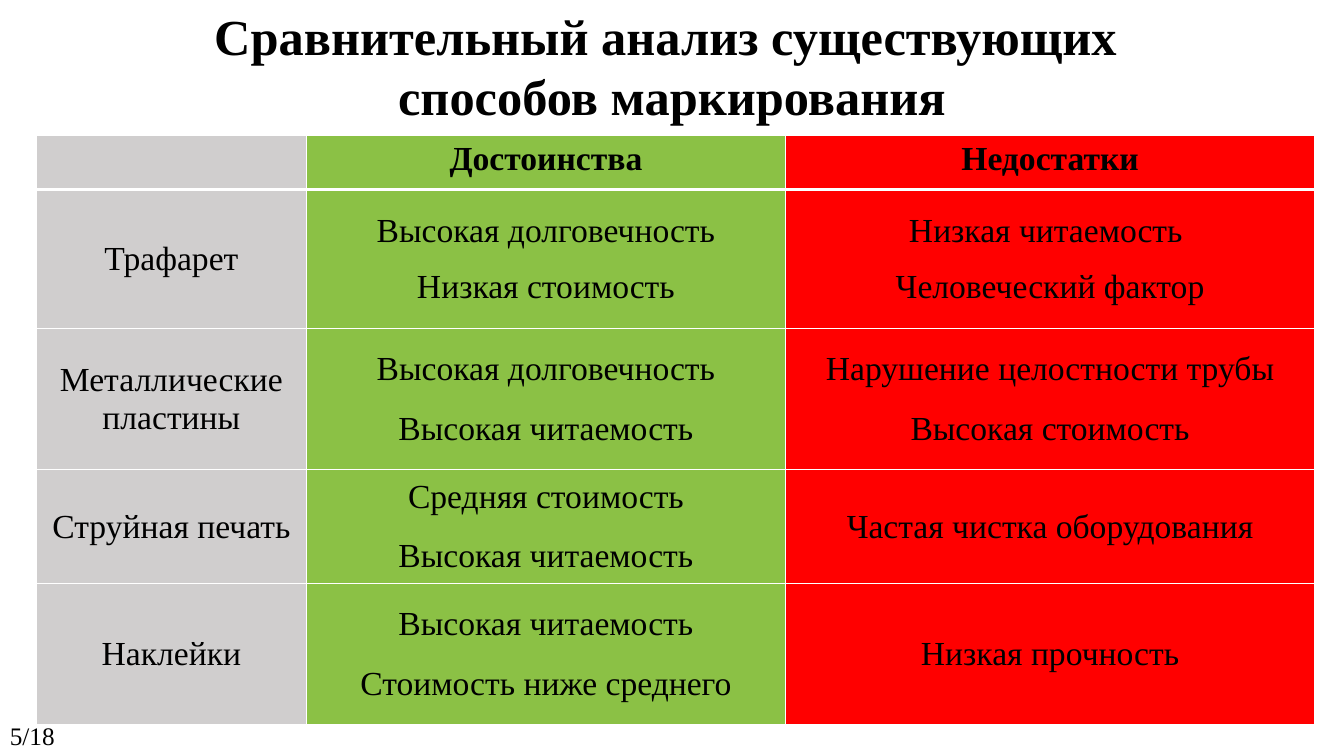
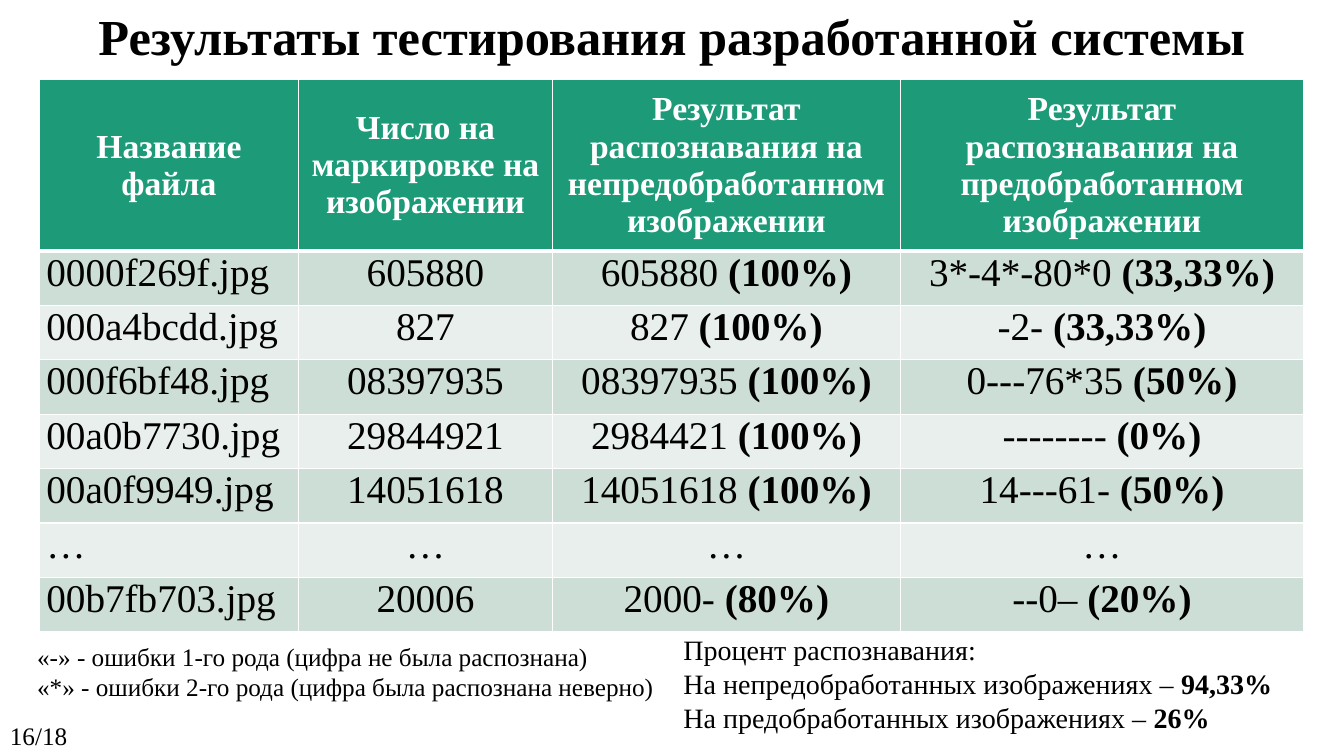
from lxml import etree
from pptx import Presentation
from pptx.dml.color import RGBColor
from pptx.enum.text import MSO_ANCHOR, MSO_AUTO_SIZE, PP_ALIGN
from pptx.oxml.ns import qn
from pptx.util import Inches, Pt

LEFT, CENTER, JUSTIFY = PP_ALIGN.LEFT, PP_ALIGN.CENTER, PP_ALIGN.JUSTIFY
TOP, MIDDLE = MSO_ANCHOR.TOP, MSO_ANCHOR.MIDDLE
GROW = MSO_AUTO_SIZE.SHAPE_TO_FIT_TEXT

FONT = "Times New Roman"
BLACK = RGBColor(0x00, 0x00, 0x00)
WHITE = RGBColor(0xFF, 0xFF, 0xFF)
GRAY = RGBColor(0xD0, 0xCE, 0xCE)
GREEN = RGBColor(0x8B, 0xC1, 0x45)
RED = RGBColor(0xFF, 0x00, 0x00)
TEAL = RGBColor(0x1D, 0x9A, 0x78)
MINT = RGBColor(0xCD, 0xDE, 0xD6)
PALE = RGBColor(0xE8, 0xEF, 0xEC)

SLIDE_WIDTH, SLIDE_HEIGHT = 13.33, 7.5
SLIDE_COUNT = 18

METHODS = [
    ("Трафарет", ["Высокая долговечность", "Низкая стоимость"],
     ["Низкая читаемость ", "Человеческий фактор"], 14),
    ("Металлические пластины", ["Высокая долговечность", "Высокая читаемость"],
     ["Нарушение целостности трубы", "Высокая стоимость"], 16),
    ("Струйная печать", ["Средняя стоимость", "Высокая читаемость"],
     ["Частая чистка оборудования"], 16),
    ("Наклейки", ["Высокая читаемость", "Стоимость ниже среднего"],
     ["Низкая прочность"], 16),
]

TEST_HEADINGS = [
    "Название файла",
    "Число на маркировке на изображении",
    "Результат распознавания на непредобработанном изображении",
    "Результат распознавания на предобработанном изображении",
]
TESTS = [
    ("0000f269f.jpg", "605880", ("605880 ", "(100%)"), ("3*-4*-80*0 ", "(33,33%)")),
    ("000a4bcdd.jpg", "827", ("827 ", "(100%)"), ("-2- ", "(33,33%)")),
    ("000f6bf48.jpg", "08397935", ("08397935 ", "(100%)"), ("0---76*35 ", "(50%)")),
    ("00a0b7730.jpg", "29844921", ("2984421 ", "(100%)"), ("-------- ", "(0%)")),
    ("00a0f9949.jpg", "14051618", ("14051618 ", "(100%)"), ("14---61- ", "(50%)")),
    ("…", "…", "…", "…"),
    ("00b7fb703.jpg", "20006", ("2000- ", "(80%)"), ("--0– ", "(20%)")),
]

ERROR_NOTES = [
    "«-» - ошибки 1-го рода (цифра не была распознана)",
    "«*» - ошибки 2-го рода (цифра была распознана неверно)",
]
RATE_NOTES = [
    "Процент распознавания:",
    ("На непредобработанных изображениях – ", "94,33%"),
    ("На предобработанных изображениях – ", "26%"),
]


def write(frame, lines, size, color=BLACK, bold=False, align=LEFT, gap=0):
    """Each line is a string, or a pair of plain text and bold text."""
    for index, line in enumerate(lines):
        para = frame.add_paragraph() if index else frame.paragraphs[0]
        para.alignment = align
        if index and gap:
            para.space_before = Pt(gap)
        parts = (line,) if isinstance(line, str) else line
        for position, text in enumerate(parts):
            span = para.add_run()
            span.text = text
            span.font.name = FONT
            span.font.size = Pt(size)
            span.font.bold = bold or position > 0
            span.font.color.rgb = color


def add_text(page, box, lines, size, wrap=False, **style):
    frame = page.shapes.add_textbox(*map(Inches, box)).text_frame
    frame.word_wrap = wrap
    frame.auto_size = GROW
    write(frame, lines, size, **style)


def add_page(deck, title_lines, title_height, number):
    page = deck.slides.add_slide(deck.slide_layouts[6])
    add_text(page, (0, 0, SLIDE_WIDTH, title_height), title_lines, 36,
             wrap=True, bold=True, align=CENTER)
    add_text(page, (0, 7.1, 0.93, 0.4), [f"{number}/{SLIDE_COUNT}"], 18)
    return page


def add_grid(page, left, top, widths, heights):
    frame = page.shapes.add_table(
        len(heights), len(widths), Inches(left), Inches(top),
        Inches(sum(widths)), Inches(sum(heights)))
    table = frame.table
    table.first_row = False
    table.horz_banding = False
    for column, width in zip(table.columns, widths):
        column.width = Inches(width)
    for row, height in zip(table.rows, heights):
        row.height = Inches(height)
    for row_index in range(len(heights)):
        for column_index in range(len(widths)):
            add_borders(table.cell(row_index, column_index), row_index)
    return table


def add_borders(cell, row_index):
    properties = cell._tc.get_or_add_tcPr()
    widths = {"lnL": 1, "lnR": 1, "lnT": 3 if row_index == 1 else 1,
              "lnB": 3 if row_index == 0 else 1}
    for side, width in widths.items():
        line = etree.SubElement(properties, qn(f"a:{side}"), w=str(Pt(width)))
        fill = etree.SubElement(line, qn("a:solidFill"))
        etree.SubElement(fill, qn("a:srgbClr"), val=str(WHITE))


def fill_cell(cell, fill, lines, size, anchor=MIDDLE, **style):
    cell.fill.solid()
    cell.fill.fore_color.rgb = fill
    cell.vertical_anchor = anchor
    write(cell.text_frame, lines, size, **style)


def add_methods_table(page, left, top):
    table = add_grid(page, left, top, [2.68, 4.75, 5.25],
                     [0.54, 1.38, 1.4, 1.13, 1.4])
    fills = (GRAY, GREEN, RED)
    headings = ([], ["Достоинства"], ["Недостатки"])
    for column, (fill, lines) in enumerate(zip(fills, headings)):
        fill_cell(table.cell(0, column), fill, lines, 24, TOP,
                  bold=True, align=CENTER)
    for row, (name, benefits, drawbacks, gap) in enumerate(METHODS, 1):
        for column, lines in enumerate(([name], benefits, drawbacks)):
            fill_cell(table.cell(row, column), fills[column], lines, 24,
                      align=CENTER, gap=gap)


def add_tests_table(page, left, top):
    table = add_grid(page, left, top, [2.57, 2.52, 3.45, 4],
                     [1.68] + [0.54] * len(TESTS))
    for column, heading in enumerate(TEST_HEADINGS):
        fill_cell(table.cell(0, column), TEAL, [heading], 24,
                  color=WHITE, bold=True, align=CENTER)
    for row, values in enumerate(TESTS, 1):
        for column, value in enumerate(values):
            cell = table.cell(row, column)
            cell.margin_left = cell.margin_right = Inches(0.07)
            cell.margin_top = cell.margin_bottom = 0
            fill_cell(cell, MINT if row % 2 else PALE, [value], 28, TOP,
                      align=CENTER if column else JUSTIFY)


def add_comparison_page(deck):
    title = ["Сравнительный анализ существующих ", "способов маркирования"]
    page = add_page(deck, title, 1.31, 5)
    add_methods_table(page, 0.36, 1.34)


def add_results_page(deck):
    title = ["Результаты тестирования разработанной системы"]
    page = add_page(deck, title, 0.71, 16)
    add_tests_table(page, 0.39, 0.79)
    add_text(page, (0.27, 6.31, 6.38, 0.71), ERROR_NOTES, 18)
    add_text(page, (6.68, 6.23, 6.04, 1.11), RATE_NOTES, 20)


def main():
    deck = Presentation()
    deck.slide_width = Inches(SLIDE_WIDTH)
    deck.slide_height = Inches(SLIDE_HEIGHT)
    add_comparison_page(deck)
    add_results_page(deck)
    deck.save("out.pptx")


if __name__ == "__main__":
    main()
